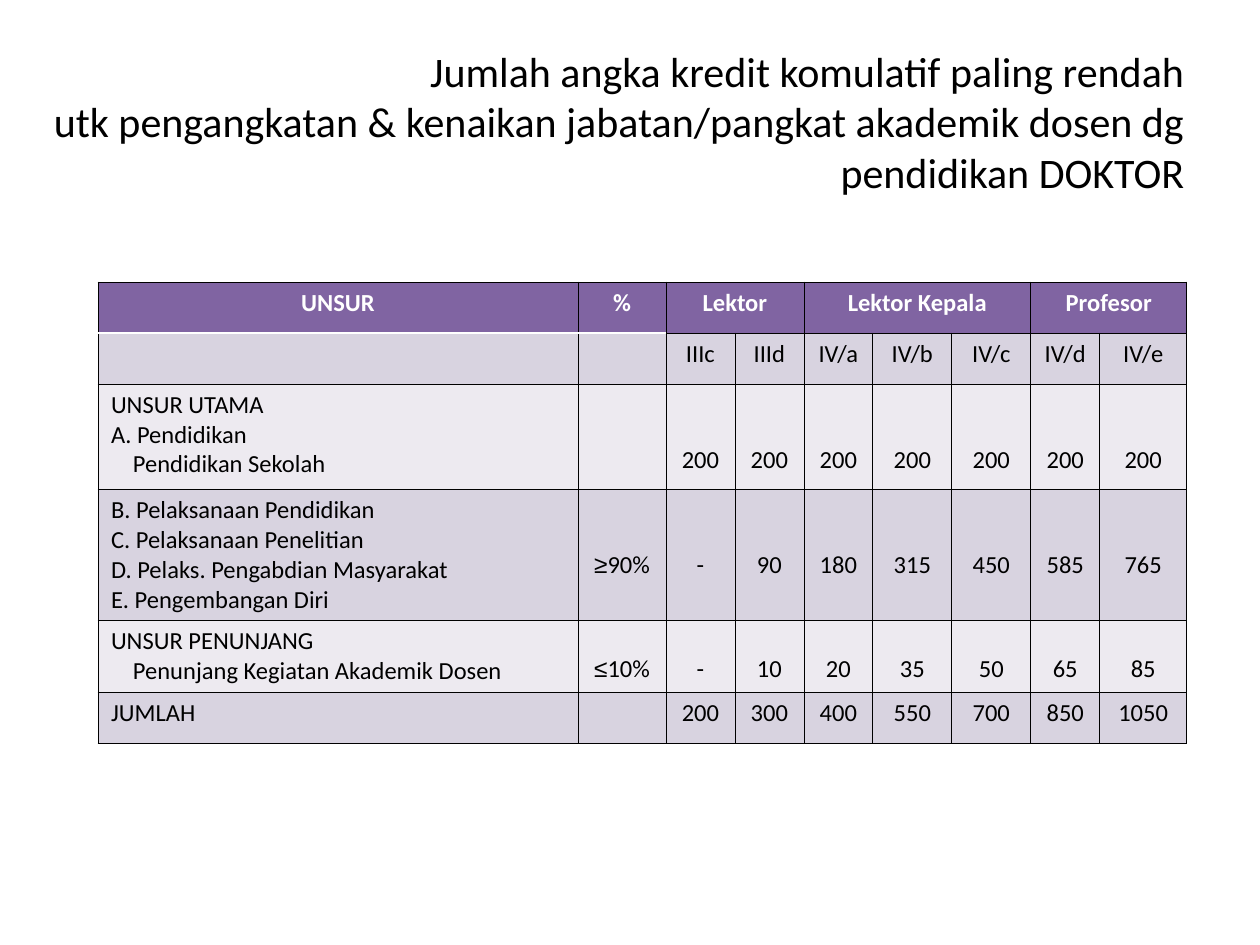
from lxml.etree import SubElement
from pptx import Presentation
from pptx.dml.color import RGBColor
from pptx.enum.text import MSO_ANCHOR, MSO_AUTO_SIZE, PP_ALIGN
from pptx.oxml.ns import qn
from pptx.util import Pt

SCALE = 914400 / 126
LEFT, CENTER, RIGHT = PP_ALIGN.LEFT, PP_ALIGN.CENTER, PP_ALIGN.RIGHT
MIDDLE = MSO_ANCHOR.MIDDLE
FIXED = MSO_AUTO_SIZE.NONE
COLORS = {"ink": "000000", "paper": "FFFFFF", "head": "8064A2",
          "dark": "D8D3E0", "light": "EDEAF0"}

TITLE = ("Jumlah angka kredit komulatif paling rendah\v"
         "utk pengangkatan & kenaikan jabatan/pangkat akademik dosen dg "
         "pendidikan DOKTOR")
COLS = [480, 88, 69, 69, 69, 79, 79, 69, 87]
ROWS = [51, 51, 101, 131, 72, 51]
DROPS = [0, 0, 55, 55, 28, 0]
SPANS = [(2, 3), (4, 6), (7, 8)]
INDENTED = {"Pendidikan Sekolah", "Penunjang Kegiatan Akademik Dosen"}
CELLS = [
    ["UNSUR", "%", "Lektor", "", "Lektor Kepala", "", "", "Profesor", ""],
    ["", "", "IIIc", "IIId", "IV/a", "IV/b", "IV/c", "IV/d", "IV/e"],
    ["UNSUR UTAMA\nA. Pendidikan\nPendidikan Sekolah", ""] + ["200"] * 7,
    ["B. Pelaksanaan Pendidikan\nC. Pelaksanaan Penelitian\n"
     "D. Pelaks. Pengabdian Masyarakat\nE. Pengembangan Diri",
     "≥90%", "-", "90", "180", "315", "450", "585", "765"],
    ["UNSUR PENUNJANG\nPenunjang Kegiatan Akademik Dosen",
     "≤10%", "-", "10", "20", "35", "50", "65", "85"],
    ["JUMLAH", "", "200", "300", "400", "550", "700", "850", "1050"],
]


def px(count):
    """Turn px into EMU."""
    return round(count * SCALE)


class Deck:
    """Hold the style and the current slide."""

    def __init__(self, font, symbol):
        """Open a deck with one title slide."""
        self.font, self.symbol = font, symbol
        self.deck = Presentation()
        self.deck.slide_width, self.deck.slide_height = px(1260), px(945)
        self.slide = self.deck.slides.add_slide(self.deck.slide_layouts[5])

    def style(self, run, size, color, bold=False):
        """Format one run."""
        font = run.font
        font.name = self.symbol if run.text in ("≥", "≤") else self.font
        font.size, font.bold = Pt(size), bold
        font.color.rgb = RGBColor.from_string(COLORS[color])

    def title(self, text, box, size):
        """Fill the title placeholder."""
        shape = self.slide.shapes.title
        shape.left, shape.top, shape.width, shape.height = map(px, box)
        frame = shape.text_frame
        frame.text = text
        frame.word_wrap, frame.auto_size = True, FIXED
        frame.vertical_anchor = MIDDLE
        para = frame.paragraphs[0]
        para.alignment = RIGHT
        for run in para.runs:
            self.style(run, size, "ink")
        for gap in para._p.iter(qn("a:br")):
            SubElement(gap, qn("a:rPr"), sz=str(size * 100))

    def edge(self, cell, side, color, width):
        """Draw one border of a cell."""
        props = cell._tc.get_or_add_tcPr()
        line = SubElement(props, qn(f"a:ln{side}"), w=str(Pt(width)))
        fill = SubElement(line, qn("a:solidFill"))
        SubElement(fill, qn("a:srgbClr"), val=COLORS[color])

    def cell(self, cell, text, row, col):
        """Write and paint one table cell."""
        for side in "LRTB":
            seam = col < 2 and (row, side) in ((0, "B"), (1, "T"))
            self.edge(cell, side, *(("paper", 1.47) if seam else ("ink", 0.45)))
        cell.fill.solid()
        tone = "head" if row == 0 else "dark" if row % 2 else "light"
        cell.fill.fore_color.rgb = RGBColor.from_string(COLORS[tone])
        cell.margin_left = cell.margin_right = px(13)
        cell.margin_top = px(6 + (DROPS[row] if col else 0))
        cell.margin_bottom = px(6)
        cell.text_frame.text = text
        for para in cell.text_frame.paragraphs:
            para.alignment = CENTER if col or row == 0 else LEFT
            if para.text in INDENTED:
                para._p.get_or_add_pPr().set("marL", str(px(22)))
            if para.text[:1] in ("≥", "≤"):
                rest = para.text[1:]
                para.runs[0].text = para.text[0]
                para.add_run().text = rest
            for run in para.runs:
                self.style(run, 14, "ink" if row else "paper", row == 0)

    def table(self, left, top):
        """Build the credit table."""
        shape = self.slide.shapes.add_table(
            len(ROWS), len(COLS), px(left), px(top), px(sum(COLS)), px(sum(ROWS)))
        table = shape.table
        table.horz_banding = False
        for col, width in zip(table.columns, COLS):
            col.width = px(width)
        for row, height in zip(table.rows, ROWS):
            row.height = px(height)
        for row, texts in enumerate(CELLS):
            for col, text in enumerate(texts):
                self.cell(table.cell(row, col), text, row, col)
        for first, last in SPANS:
            table.cell(0, first).merge(table.cell(0, last))


def main():
    """Build and save the slide."""
    deck = Deck("Calibri", "Arial")
    deck.title(TITLE, (0, 63, 1197, 116), 24)
    deck.table(98, 282)
    deck.deck.save("out.pptx")


if __name__ == "__main__":
    main()
